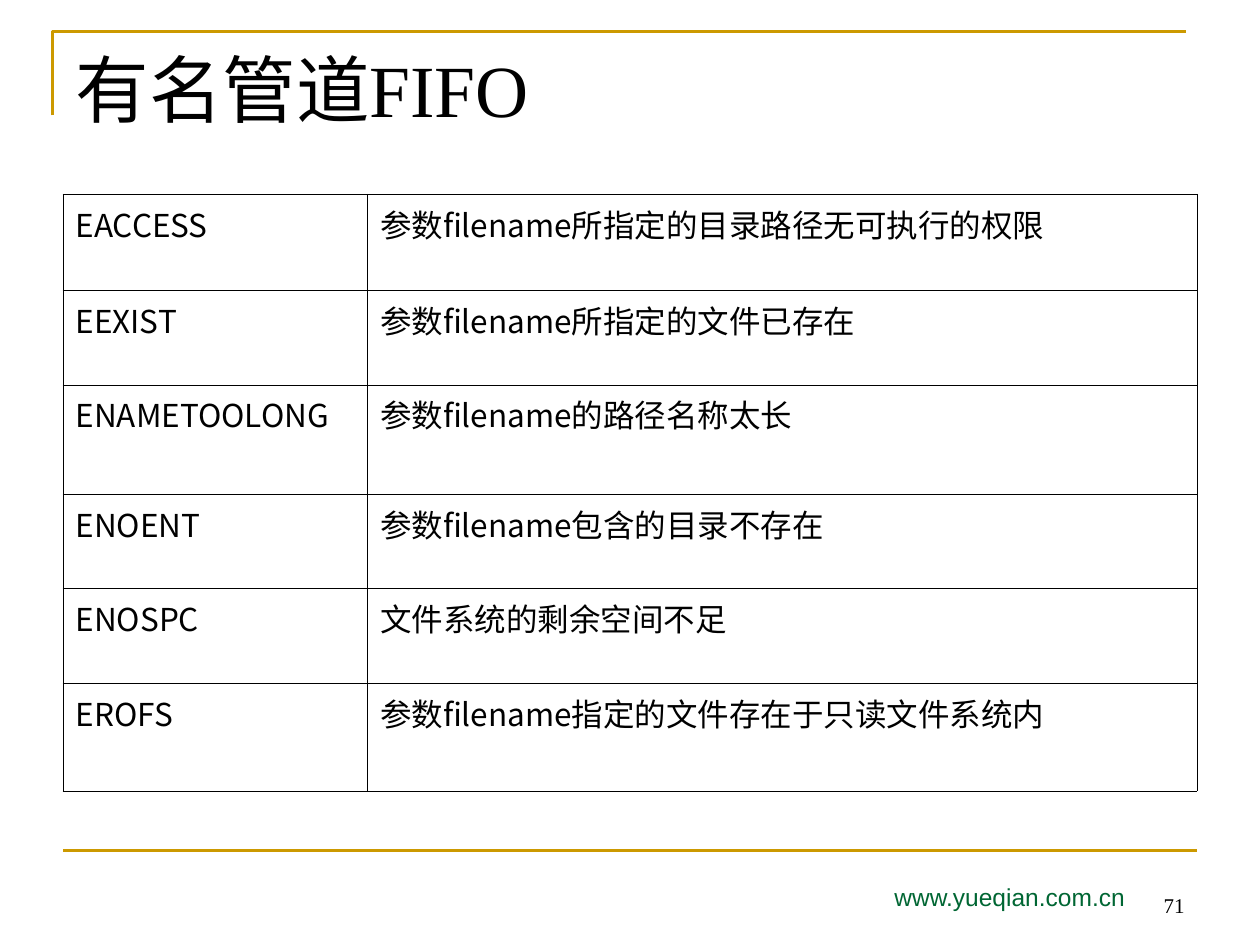
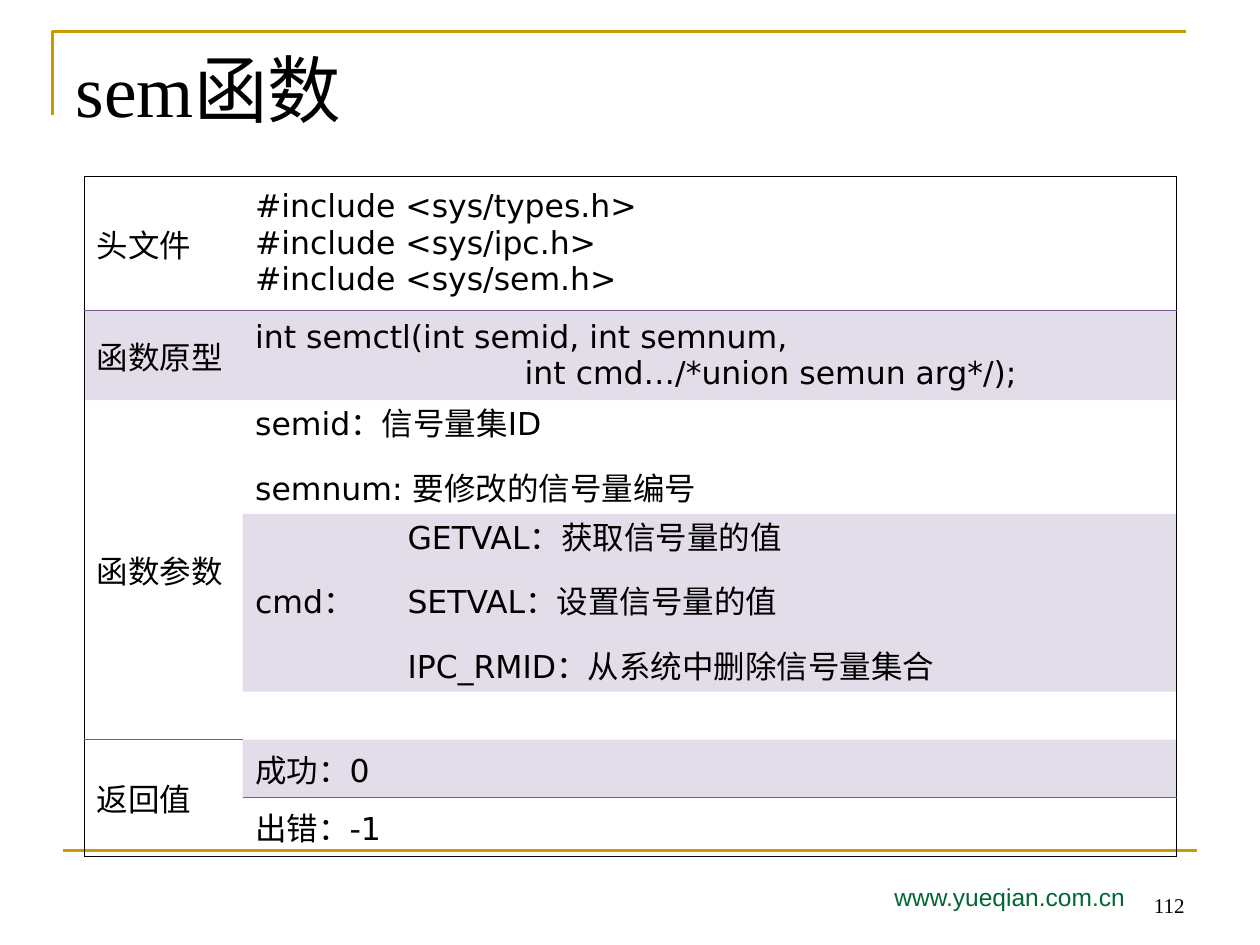
from lxml import etree
from pptx import Presentation
from pptx.dml.color import RGBColor
from pptx.enum.shapes import MSO_CONNECTOR
from pptx.enum.text import MSO_ANCHOR, MSO_AUTO_SIZE, PP_ALIGN
from pptx.oxml.ns import qn
from pptx.util import Pt

STRAIGHT = MSO_CONNECTOR.STRAIGHT
TOP, MIDDLE, BOTTOM = MSO_ANCHOR.TOP, MSO_ANCHOR.MIDDLE, MSO_ANCHOR.BOTTOM
LEFT, RIGHT = PP_ALIGN.LEFT, PP_ALIGN.RIGHT
NO_AUTOFIT = MSO_AUTO_SIZE.NONE

BLACK, GOLD, GREEN, PURPLE = "000000", "CC9900", "006633", "755992"
CJK, SERIF, SANS, CODE = "Noto Sans CJK SC", "Times New Roman", "Arial", "DejaVu Sans"
PLAIN_TABLE = "{2D5ABB26-0587-4C30-8999-92F81FD0307C}"
RULE_WIDTH = 0.45

ERRORS = [
    ("EACCESS", "参数filename所指定的目录路径无可执行的权限"),
    ("EEXIST", "参数filename所指定的文件已存在"),
    ("ENAMETOOLONG", "参数filename的路径名称太长"),
    ("ENOENT", "参数filename包含的目录不存在"),
    ("ENOSPC", "文件系统的剩余空间不足"),
    ("EROFS", "参数filename指定的文件存在于只读文件系统内"),
]
ERROR_HEIGHTS = [55, 54, 62.5, 54, 54, 61.5]

SEMCTL = [
    (0, 0, 1, 1, False, ["头文件"]),
    (0, 1, 1, 2, False, ["#include <sys/types.h>", "#include <sys/ipc.h>",
                         "#include <sys/sem.h>"]),
    (1, 0, 1, 1, True, ["函数原型"]),
    (1, 1, 1, 2, True, ["int semctl(int semid, int semnum,",
                        "                           int cmd…/*union semun arg*/);"]),
    (2, 0, 3, 1, False, ["函数参数"]),
    (2, 1, 1, 2, False, ["semid：信号量集ID", "semnum: 要修改的信号量编号"]),
    (3, 1, 1, 1, True, ["cmd："]),
    (3, 2, 1, 1, True, ["GETVAL：获取信号量的值", "SETVAL：设置信号量的值",
                        "IPC_RMID：从系统中删除信号量集合"]),
    (4, 1, 1, 2, False, []),
    (5, 0, 2, 1, False, ["返回值"]),
    (5, 1, 1, 2, True, ["成功：0"]),
    (6, 1, 1, 2, False, ["出错：-1"]),
]
SEMCTL_HEIGHTS = [77, 51, 65, 101.7, 27.4, 33, 33.5]
SEMCTL_RULES = {(1, 0), (1, 1), (5, 0), (6, 1)}
PARAMETER_ROWS = (2, 3)
SPECKS = [(262.8, 215.3, 1), (262.8, 244.8, 0.75), (262.8, 326.9, 1),
          (270.7, 195.1, 1), (270.7, 216.7, 0.75), (270.7, 298.1, 1),
          (242.6, 289.4, 1)]


def color(value):
    return RGBColor.from_string(value)


def apply(target, formats):
    for name, value in formats.items():
        setattr(target, name, value)


def write(frame, lines, font, size, ink=BLACK, **formats):
    for index, line in enumerate(lines):
        paragraph = frame.paragraphs[0] if index == 0 else frame.add_paragraph()
        apply(paragraph, {**formats, "space_before": formats.get("space_before", Pt(0))
                          if index else Pt(0)})
        run = paragraph.add_run()
        run.text = line
        apply(run.font, {"name": font, "size": Pt(size)})
        run.font.color.rgb = color(ink)
        etree.SubElement(run.font._element, qn("a:ea")).set("typeface", CJK)


def add_label(slide, box, text, font, size, ink=BLACK, align=LEFT, anchor=TOP):
    frame = slide.shapes.add_textbox(*map(Pt, box)).text_frame
    apply(frame, {"word_wrap": True, "vertical_anchor": anchor})
    write(frame, [text], font, size, ink, alignment=align)


def add_line(slide, start, end, ink, width):
    line = slide.shapes.add_connector(STRAIGHT, *map(Pt, start + end))
    line.line.color.rgb = color(ink)
    line.line.width = Pt(width)
    etree.SubElement(line._element.spPr, qn("a:effectLst"))


def add_corner(slide):
    builder = slide.shapes.build_freeform(Pt(30), Pt(66))
    builder.add_line_segments([(Pt(30), Pt(18)), (Pt(678), Pt(18))], close=False)
    corner = builder.convert_to_shape()
    corner.shadow.inherit = False
    corner.fill.background()
    corner.line.color.rgb = color(GOLD)
    corner.line.width = Pt(1.5)


def add_page(deck, heading, number):
    slide = deck.slides.add_slide(deck.slide_layouts[5])
    add_corner(slide)
    add_line(slide, (36, 486), (684, 486), GOLD, 1.5)
    add_label(slide, (504, 500.4, 180, 28.8), "www.yueqian.com.cn", SANS, 14, GREEN)
    add_label(slide, (516, 492, 168, 36), number, SERIF, 12, align=RIGHT, anchor=BOTTOM)
    title = slide.shapes.title
    apply(title, {"left": Pt(36), "top": Pt(21.6), "width": Pt(648), "height": Pt(90)})
    apply(title.text_frame, {"vertical_anchor": TOP, "auto_size": NO_AUTOFIT,
                             "word_wrap": True})
    write(title.text_frame, [heading], SERIF, 42, alignment=LEFT)
    return slide


def add_grid(slide, left, top, widths, heights):
    table = slide.shapes.add_table(len(heights), len(widths), Pt(left), Pt(top),
                                   Pt(sum(widths)), Pt(sum(heights))).table
    apply(table, {"first_row": False, "horz_banding": False})
    table._tbl.tblPr.find(qn("a:tableStyleId")).text = PLAIN_TABLE
    for column, width in zip(table.columns, widths):
        column.width = Pt(width)
    for row, height in zip(table.rows, heights):
        row.height = Pt(height)
    return table


def format_cell(cell, edges, shaded=False):
    properties = cell._tc.get_or_add_tcPr()
    for side, ink in zip("LRTB", edges):
        edge = etree.SubElement(properties, qn("a:ln" + side), w=str(Pt(RULE_WIDTH)))
        if ink:
            fill = etree.SubElement(edge, qn("a:solidFill"))
            etree.SubElement(fill, qn("a:srgbClr"), val=ink)
        else:
            etree.SubElement(edge, qn("a:noFill"))
    if shaded:
        cell.fill.solid()
        cell.fill.fore_color.rgb = color(PURPLE)
        tint = properties.find(qn("a:solidFill")).find(qn("a:srgbClr"))
        etree.SubElement(tint, qn("a:alpha"), val="20000")
    else:
        cell.fill.background()


def add_error_table(slide):
    table = add_grid(slide, 36, 111, [174, 474], ERROR_HEIGHTS)
    for row, texts in enumerate(ERRORS):
        for column, text in enumerate(texts):
            cell = table.cell(row, column)
            format_cell(cell, [BLACK] * 4)
            write(cell.text_frame, [text], CJK, 18)


def add_semctl_table(slide):
    table = add_grid(slide, 48.2, 100.6, [90.4, 87.1, 446.5], SEMCTL_HEIGHTS)
    last_row, last_column = len(table.rows), len(table.columns)

    def rule(line, column):
        if line in (0, last_row):
            return BLACK
        return PURPLE if (line, column) in SEMCTL_RULES else None

    for row, column, rows, columns, shaded, lines in SEMCTL:
        cell = table.cell(row, column)
        if rows * columns > 1:
            cell.merge(table.cell(row + rows - 1, column + columns - 1))
        edges = [BLACK if column == 0 else None,
                 BLACK if column + columns == last_column else None,
                 rule(row, column), rule(row + rows, column)]
        format_cell(cell, edges, shaded)
        cell.vertical_anchor = MIDDLE
        if not lines:
            apply(cell, {"margin_top": 0, "margin_bottom": 0})
        spread = {}
        if row in PARAMETER_ROWS and column:
            spread = {"line_spacing": 0.8, "space_before": Pt(16)}
        write(cell.text_frame, lines, CODE, 18, **spread)


def main():
    deck = Presentation()
    apply(deck, {"slide_width": Pt(720), "slide_height": Pt(540)})
    add_error_table(add_page(deck, "有名管道FIFO", "71"))
    semaphores = add_page(deck, "sem函数", "112")
    for x, y, width in SPECKS:
        add_line(semaphores, (x, y), (x, y), BLACK, width)
    add_semctl_table(semaphores)
    deck.save("out.pptx")


if __name__ == "__main__":
    main()
